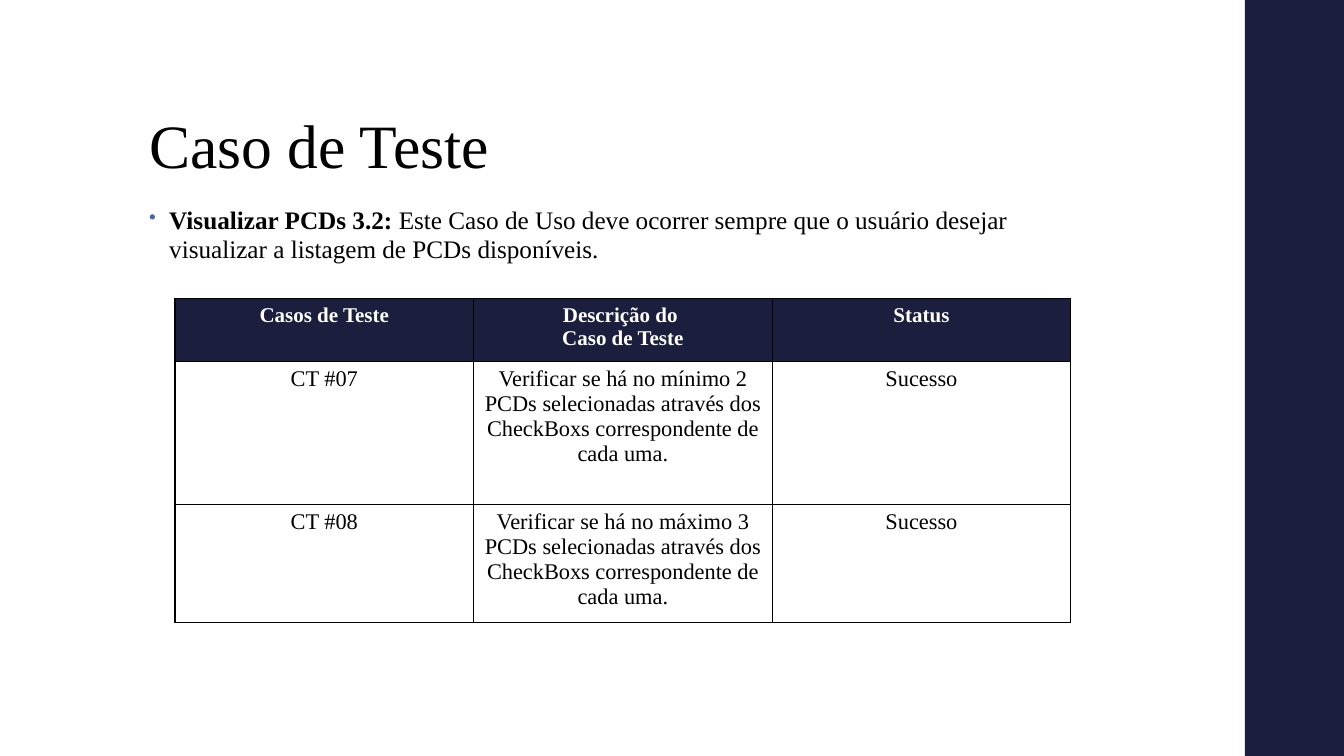
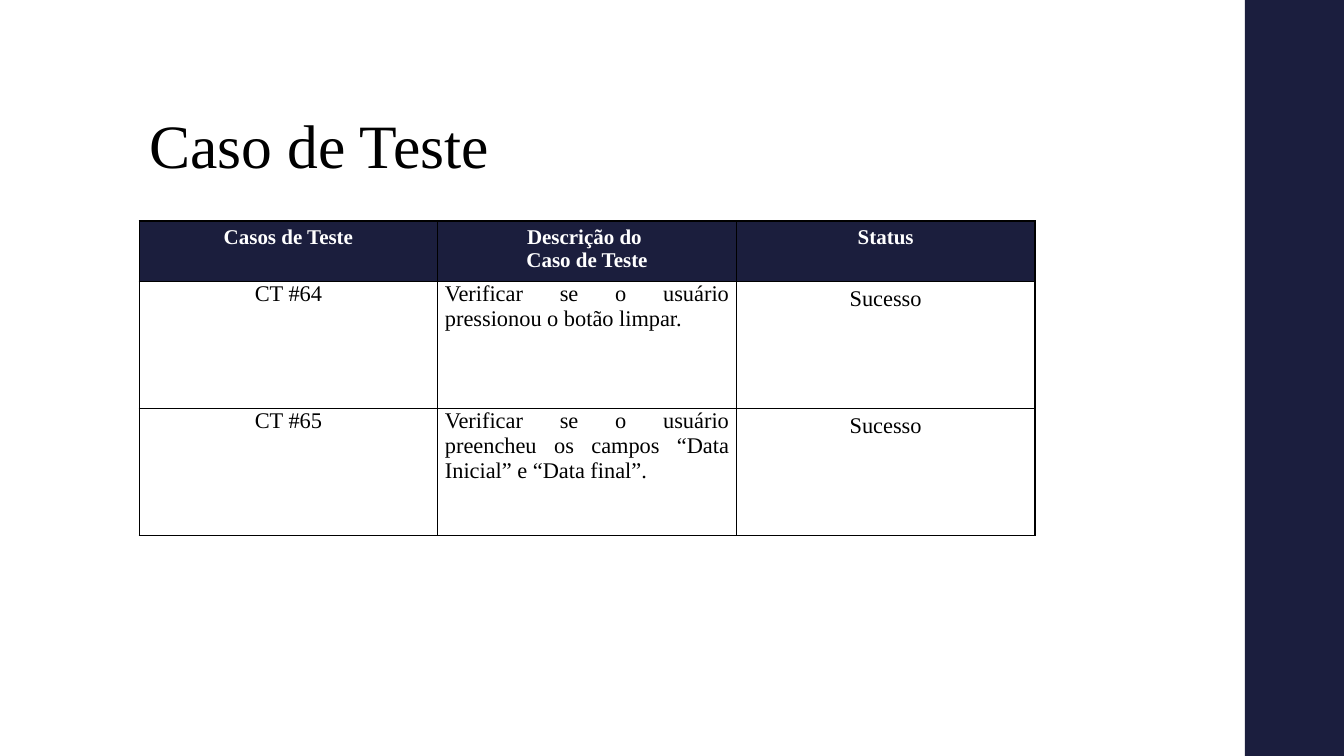
from lxml import etree
from pptx import Presentation
from pptx.dml.color import RGBColor
from pptx.enum import shapes, text
from pptx.oxml import ns
from pptx.util import Pt

FONT = "Times New Roman"
COLORS = {
    "band": "1B1E3E",
    "header": "1B1E3D",
    "bullet": "4A66AC",
    "ink": "000000",
    "paper": "FFFFFF",
}
WIDTH, HEIGHT = 960, 540
MARGIN = 99.4
COLUMN = 213.3
BORDER = 0.96
ROOMY = (7.2, 3.6)
TIGHT = (5.15, 0)
NARROW = (5.15, 3.6)
CENTER, JUSTIFY = text.PP_ALIGN.CENTER, text.PP_ALIGN.JUSTIFY
HEADERS = ["Casos de Teste", "Descrição do \nCaso de Teste", "Status"]


def color(name):
    return RGBColor.from_string(COLORS[name])


def sub(parent, tag, **attributes):
    return etree.SubElement(parent, ns.qn(tag), attributes)


def add_run(paragraph, words, size=16, ink="ink", bold=False):
    run = paragraph.add_run()
    run.text = words
    run.font.name = FONT
    run.font.size = Pt(size)
    run.font.bold = bold
    run.font.color.rgb = color(ink)


def add_bullet(paragraph, indent):
    properties = paragraph._p.get_or_add_pPr()
    properties.set("marL", str(Pt(indent)))
    properties.set("indent", str(-Pt(indent)))
    sub(sub(properties, "a:buClr"), "a:srgbClr", val=COLORS["bullet"])
    sub(properties, "a:buSzPct", val="80000")
    sub(properties, "a:buChar", char="•")


def add_borders(cell):
    properties = cell._tc.get_or_add_tcPr()
    for side in "LRTB":
        line = sub(properties, f"a:ln{side}", w=str(Pt(BORDER)))
        sub(sub(line, "a:solidFill"), "a:srgbClr", val=COLORS["ink"])


class Deck:
    def __init__(self):
        self.presentation = Presentation()
        self.presentation.slide_width = Pt(WIDTH)
        self.presentation.slide_height = Pt(HEIGHT)
        self.slide = None

    def start(self, title):
        """Add a slide with the side band and the title."""
        self.slide = self.presentation.slides.add_slide(self.presentation.slide_layouts[6])
        self.band()
        self.title(title)

    def band(self):
        band = self.slide.shapes.add_shape(
            shapes.MSO_SHAPE.RECTANGLE, Pt(889.2), 0, Pt(WIDTH - 889.2), Pt(HEIGHT))
        band.shadow.inherit = False
        band.fill.solid()
        band.fill.fore_color.rgb = color("band")
        band.line.fill.background()

    def box(self, top, width, height, spacing, anchor=text.MSO_ANCHOR.TOP):
        """Add a text box at the margin and return its first paragraph."""
        frame = self.slide.shapes.add_textbox(
            Pt(MARGIN), Pt(top), Pt(width), Pt(height)).text_frame
        frame.word_wrap = True
        frame.vertical_anchor = anchor
        paragraph = frame.paragraphs[0]
        paragraph.line_spacing = spacing
        return paragraph

    def title(self, words):
        add_run(self.box(28.8, 763, 104.4, 0.9, text.MSO_ANCHOR.BOTTOM), words, size=44)

    def use_case(self, name, description):
        paragraph = self.box(144, 676.8, 342.7, 0.95)
        add_bullet(paragraph, 14.4)
        add_run(paragraph, name, size=18, bold=True)
        add_run(paragraph, description, size=18)

    def cell(self, cell, words, fill="paper", inset=ROOMY, align=CENTER, **style):
        add_borders(cell)
        cell.fill.solid()
        cell.fill.fore_color.rgb = color(fill)
        cell.margin_left = cell.margin_right = Pt(inset[0])
        cell.margin_top = cell.margin_bottom = Pt(inset[1])
        frame = cell.text_frame
        for index, line in enumerate(words.split("\n")):
            paragraph = frame.add_paragraph() if index else frame.paragraphs[0]
            paragraph.alignment = align
            add_run(paragraph, line, **style)

    def test_table(self, left, top, heights, cases, case_inset=ROOMY,
                   description_insets=(ROOMY, NARROW), description_align=CENTER):
        table = self.slide.shapes.add_table(
            len(heights), len(HEADERS), Pt(left), Pt(top),
            Pt(COLUMN * len(HEADERS)), Pt(sum(heights))).table
        table.horz_banding = False
        for column in table.columns:
            column.width = Pt(COLUMN)
        for row, height in zip(table.rows, heights):
            row.height = Pt(height)
        for index, header in enumerate(HEADERS):
            self.cell(table.cell(0, index), header, fill="header",
                      size=15, ink="paper", bold=True)
        for row, (case, description) in enumerate(cases, 1):
            self.cell(table.cell(row, 0), case, inset=case_inset)
            self.cell(table.cell(row, 1), description,
                      inset=description_insets[row - 1], align=description_align)
            self.cell(table.cell(row, 2), "Sucesso")


def main():
    deck = Deck()

    deck.start("Caso de Teste")
    deck.use_case(
        "Visualizar PCDs 3.2: ",
        "Este Caso de Uso deve ocorrer sempre que o usuário desejar "
        "visualizar a listagem de PCDs disponíveis.")
    limit = ("Verificar se há no {} PCDs selecionadas através dos "
             "CheckBoxs correspondente de cada uma.")
    deck.test_table(125, 213.1, [45, 102.4, 73], [
        ("CT #07", limit.format("mínimo 2")),
        ("CT #08", limit.format("máximo 3")),
    ])

    deck.start("Caso de Teste")
    deck.test_table(MARGIN, 157.8, [41, 90.6, 90.6], [
        ("CT #64", "Verificar se o usuário pressionou o botão limpar."),
        ("CT #65", "Verificar se o usuário preencheu os campos "
                   "“Data Inicial” e “Data final”."),
    ], case_inset=TIGHT, description_insets=(TIGHT, TIGHT), description_align=JUSTIFY)

    deck.presentation.save("out.pptx")


if __name__ == "__main__":
    main()
